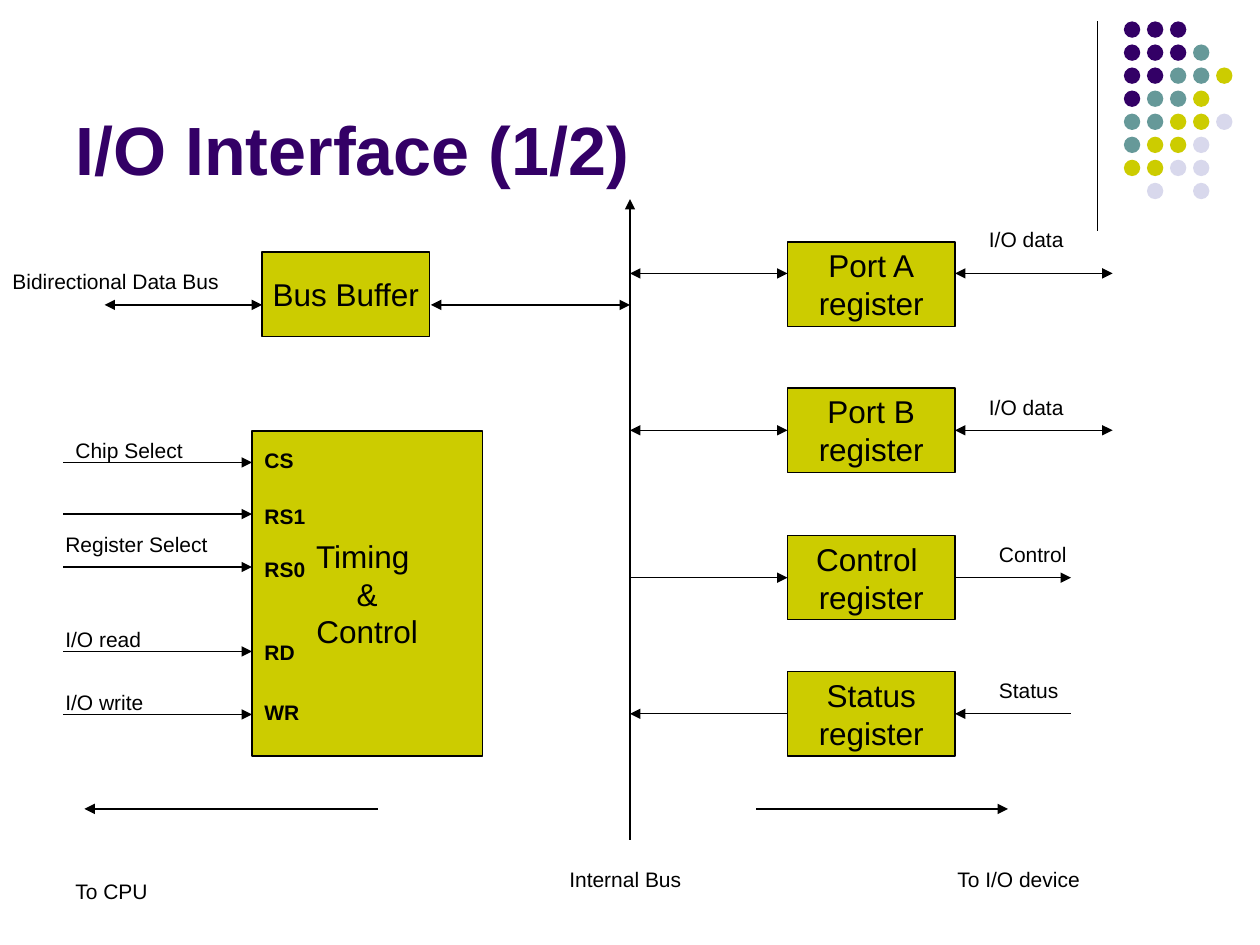
from dataclasses import dataclass
from typing import Optional

import pptx
import pptx.dml.color
import pptx.enum.shapes
import pptx.enum.text
import pptx.oxml.ns
import pptx.util
from lxml import etree
from pptx.util import Inches

COLORS = {"ink": "000000", "purple": "330066", "teal": "669999",
          "olive": "CCCC00", "lilac": "D8D8EC"}
DOT_COLORS = {"P": "purple", "T": "teal", "O": "olive", "L": "lilac"}
DOT_ROWS = ["PPP", "PPPT", "PPTTO", "PTTO", "TTOOL", "TOOL", "OOLL", " L L"]
DOT_PITCH = 0.183
LEFT_SIDE, RIGHT_SIDE = 1, 3
BUS_X = 5
REGISTER_X, REGISTER_RIGHT = 6.25, 7.58


@dataclass
class Block:
    lines: list[str]
    x: float
    y: float
    w: float = 1.33
    h: float = 0.67


@dataclass
class Label:
    text: str
    x: float
    y: float
    w: float = 1.92
    bold: bool = False


@dataclass
class Arrow:
    """heads holds '<' for a head at the start and '>' for one at the end."""
    x1: float
    y1: float
    x2: float
    y2: float
    heads: str = ""
    begin: Optional[tuple[str, int]] = None
    end: Optional[tuple[str, int]] = None


BLOCKS = {
    "buffer": Block(["Bus Buffer"], 2.08, 2),
    "port_a": Block(["Port A", "register"], REGISTER_X, 1.92),
    "port_b": Block(["Port B", "register"], REGISTER_X, 3.08),
    "control": Block(["Control ", "register"], REGISTER_X, 4.25),
    "status": Block(["Status", "register"], REGISTER_X, 5.33),
    "timing": Block(["Timing ", "&", "Control"], 2, 3.42, 1.83, 2.58),
}

# block, arrow height, far end, heads on the bus side, heads outside, centred
REGISTER_LINKS = [
    ("port_a", 2.17, 8.83, "<>", "<>", False),
    ("port_b", 3.42, 8.83, "<>", "<>", True),
    ("control", 4.58, 8.5, ">", ">", True),
    ("status", 5.67, 8.5, "<", "<", True),
]
PIN_ARROW_YS = [3.67, 4.08, 4.5, 5.17, 5.67]

ARROWS = [
    Arrow(BUS_X, 1.58, BUS_X, 6.67, "<"),
    Arrow(0.67, 6.42, 3, 6.42, "<"),
    Arrow(6, 6.42, 8, 6.42, ">"),
    Arrow(3.42, 2.42, BUS_X, 2.42, "<>"),
    Arrow(0.83, 2.42, 2.08, 2.42, "<>"),
] + [Arrow(0.5, y, 2, y, ">") for y in PIN_ARROW_YS]
for name, y, far_x, bus_heads, outer_heads, centred in REGISTER_LINKS:
    ARROWS += [
        Arrow(BUS_X, y, REGISTER_X, y, bus_heads,
              end=(name, LEFT_SIDE) if centred else None),
        Arrow(REGISTER_RIGHT, y, far_x, y, outer_heads,
              begin=(name, RIGHT_SIDE) if centred else None),
    ]

LABELS = [
    Label("Bidirectional Data Bus", 0, 2.08),
    Label("I/O data", 7.75, 1.75),
    Label("I/O data", 7.75, 3.08),
    Label("Control", 7.83, 4.25),
    Label("Status", 7.83, 5.33),
    Label("To CPU", 0.5, 6.92),
    Label("Internal Bus", 4.42, 6.83),
    Label("To I/O device", 7.5, 6.83),
    Label("Chip Select", 0.5, 3.42),
    Label("Register Select", 0.42, 4.17),
    Label("I/O read", 0.42, 4.92),
    Label("I/O write", 0.42, 5.42),
] + [Label(pin, 2, y, 0.58, True) for pin, y in
     [("CS", 3.5), ("RS1", 3.95), ("RS0", 4.37), ("RD", 5.03), ("WR", 5.5)]]


def rgb(name: str) -> pptx.dml.color.RGBColor:
    return pptx.dml.color.RGBColor.from_string(COLORS[name])


def set_text(tf, lines: list[str], size: float, color: str = "ink",
             bold: bool = False, align: str = "LEFT") -> None:
    for i, line in enumerate(lines):
        p = tf.paragraphs[0] if i == 0 else tf.add_paragraph()
        p.alignment = pptx.enum.text.PP_ALIGN[align]
        r = p.add_run()
        r.text = line
        formats = {"name": "Arial", "size": pptx.util.Pt(size), "bold": bold}
        for key, value in formats.items():
            setattr(r.font, key, value)
        r.font.color.rgb = rgb(color)


def add_filled(s, kind: str, x: float, y: float, w: float, h: float, color: str):
    sp = s.shapes.add_shape(pptx.enum.shapes.MSO_SHAPE[kind],
                            Inches(x), Inches(y), Inches(w), Inches(h))
    sp.shadow.inherit = False
    sp.fill.solid()
    sp.fill.fore_color.rgb = rgb(color)
    sp.line.fill.background()
    return sp


def add_dots(s) -> None:
    for row, codes in enumerate(DOT_ROWS):
        for col, code in enumerate(codes):
            if code in DOT_COLORS:
                add_filled(s, "OVAL", 8.92 + col * DOT_PITCH,
                           0.17 + row * DOT_PITCH, 0.13, 0.13, DOT_COLORS[code])


def add_block(s, block: Block):
    sp = add_filled(s, "RECTANGLE", block.x, block.y, block.w, block.h, "olive")
    sp.line.color.rgb = rgb("ink")
    sp.line.width = pptx.util.Pt(0.75)
    tf = sp.text_frame
    tf.word_wrap = False
    tf.vertical_anchor = pptx.enum.text.MSO_ANCHOR.MIDDLE
    set_text(tf, block.lines, 18, align="CENTER")
    return sp


def add_arrow(s, arrow: Arrow, shapes: dict) -> None:
    c = s.shapes.add_connector(
        pptx.enum.shapes.MSO_CONNECTOR.STRAIGHT,
        Inches(arrow.x1), Inches(arrow.y1), Inches(arrow.x2), Inches(arrow.y2))
    if arrow.begin:
        c.begin_connect(shapes[arrow.begin[0]], arrow.begin[1])
        c.end_y = c.begin_y
    if arrow.end:
        c.end_connect(shapes[arrow.end[0]], arrow.end[1])
        c.begin_y = c.end_y
    c.line.color.rgb = rgb("ink")
    c.line.width = pptx.util.Pt(0.75)
    ln = c.line._get_or_add_ln()
    for mark, tag in (("<", "a:headEnd"), (">", "a:tailEnd")):
        if mark in arrow.heads:
            etree.SubElement(ln, pptx.oxml.ns.qn(tag), type="triangle")
    etree.SubElement(c._element.spPr, pptx.oxml.ns.qn("a:effectLst"))


def add_label(s, label: Label) -> None:
    tf = s.shapes.add_textbox(Inches(label.x), Inches(label.y),
                              Inches(label.w), Inches(0.3)).text_frame
    tf.word_wrap = True
    set_text(tf, [label.text], 12, bold=label.bold)


def add_title(s, text: str) -> None:
    title = s.shapes.title
    box = {"left": 0.5, "top": 0.13, "width": 8.25, "height": 1.42}
    for key, value in box.items():
        setattr(title, key, Inches(value))
    tf = title.text_frame
    tf.auto_size = pptx.enum.text.MSO_AUTO_SIZE.NONE
    tf.vertical_anchor = pptx.enum.text.MSO_ANCHOR.BOTTOM
    set_text(tf, [text], 39, "purple", bold=True)


def main() -> None:
    prs = pptx.Presentation()
    prs.slide_width, prs.slide_height = Inches(10), Inches(7.5)
    s = prs.slides.add_slide(prs.slide_layouts.get_by_name("Title Only"))
    add_title(s, "I/O Interface (1/2)")
    add_arrow(s, Arrow(8.71, 0.17, 8.71, 1.83), {})
    add_dots(s)
    shapes = {name: add_block(s, block) for name, block in BLOCKS.items()}
    for arrow in ARROWS:
        add_arrow(s, arrow, shapes)
    for label in LABELS:
        add_label(s, label)
    prs.save("out.pptx")


if __name__ == "__main__":
    main()
